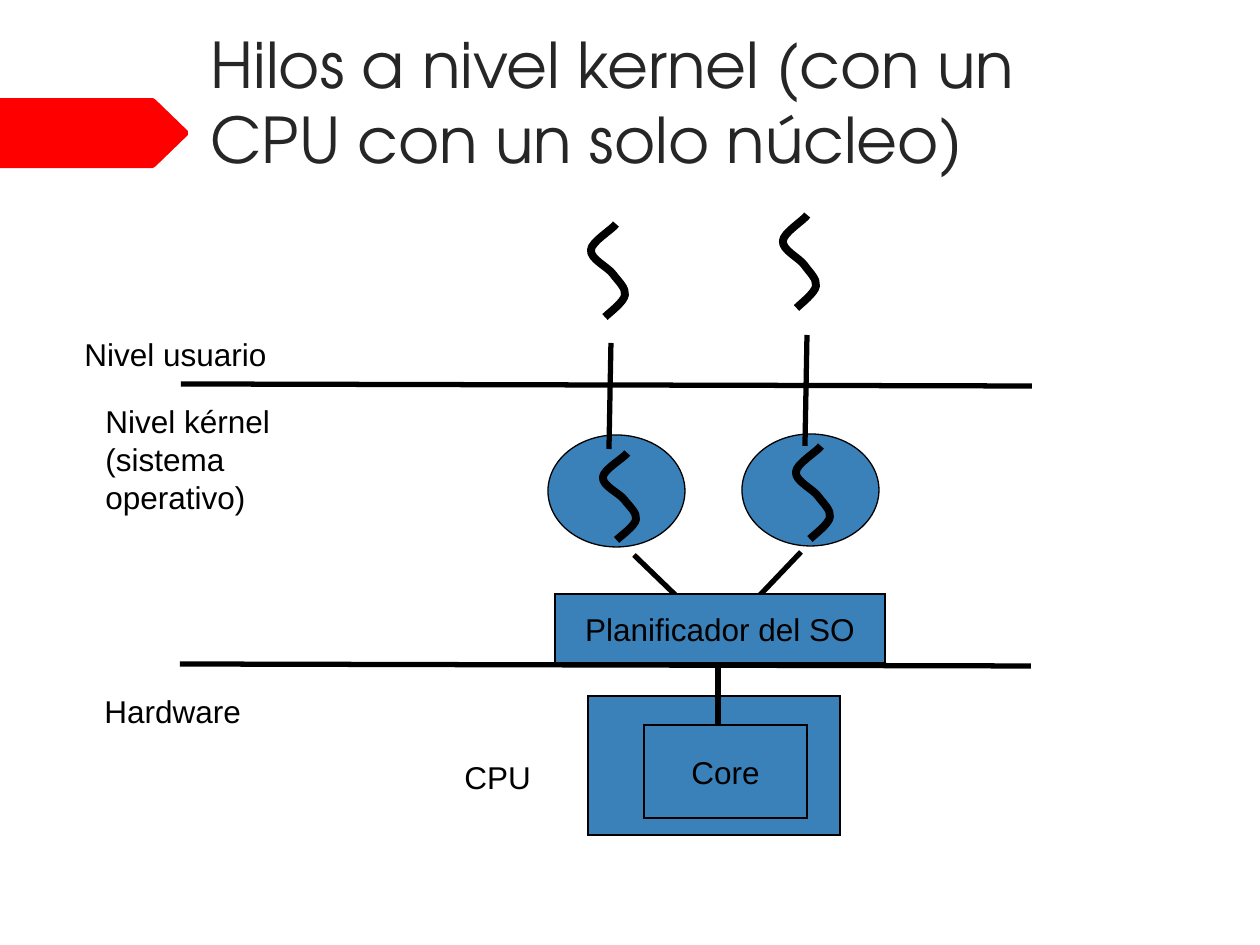
from lxml import etree
from pptx import Presentation
from pptx.dml.color import RGBColor
from pptx.enum.shapes import MSO_CONNECTOR, MSO_SHAPE
from pptx.enum.text import MSO_ANCHOR, PP_ALIGN
from pptx.oxml.ns import qn
from pptx.util import Pt

LINE = MSO_CONNECTOR.STRAIGHT
RECT = MSO_SHAPE.RECTANGLE
OVAL = MSO_SHAPE.OVAL
LEFT, CENTER = PP_ALIGN.LEFT, PP_ALIGN.CENTER
TOP, MIDDLE = MSO_ANCHOR.TOP, MSO_ANCHOR.MIDDLE
PX = 914400 / 126
BLACK, BLUE, RED, GRAY = "000000", "3A81BA", "FF0000", "262626"


def emu(*nums):
    return [round(n * PX) for n in nums]


def write(shape, text, font, size, color, align, anchor, wrap):
    frame = shape.text_frame
    frame.text = text
    frame.word_wrap = wrap
    frame.vertical_anchor = anchor
    para = frame.paragraphs[0]
    para.alignment = align
    para.font.name = font
    para.font.size = Pt(size)
    para.font.color.rgb = RGBColor.from_string(color)


deck = Presentation()
deck.slide_width, deck.slide_height = emu(1260, 945)
slide = deck.slides.add_slide(deck.slide_layouts[5])
shapes = slide.shapes

title = shapes.title
title.left, title.top, title.width, title.height = emu(198, 19, 908, 176)
write(title, "Hilos a nivel kernel (con un CPU con un solo núcleo)",
      "TeX Gyre Adventor", 36, GRAY, LEFT, TOP, True)

edge = [(153, 98), (156, 100), (188, 131), (188, 135), (156, 166), (153, 168), (0, 168)]
pen = shapes.build_freeform(*emu(0, 98), scale=1)
pen.add_line_segments([emu(*spot) for spot in edge], close=True)
arrow = pen.convert_to_shape()
arrow.shadow.inherit = False
arrow.fill.solid()
arrow.fill.fore_color.rgb = RGBColor.from_string(RED)
arrow.line.fill.background()

boxes = [
    (OVAL, 742, 434, 137, 112, ""),
    (OVAL, 548, 435, 137, 112, ""),
    (RECT, 588, 696, 252, 139, ""),
    (RECT, 644, 725, 163, 93, "Core"),
    (RECT, 555, 594, 330, 69, "Planificador del SO"),
]
for kind, x, y, w, h, text in boxes:
    box = shapes.add_shape(kind, *emu(x, y, w, h))
    box.shadow.inherit = False
    box.fill.solid()
    box.fill.fore_color.rgb = RGBColor.from_string(BLUE)
    box.line.color.rgb = RGBColor.from_string(BLACK)
    box.line.width = Pt(0.75)
    etree.SubElement(box._element.spPr.find(qn("a:ln")), qn("a:miter"), lim="800000")
    if text:
        write(box, text, "Arial", 18, BLACK, CENTER, MIDDLE, False)
planner = box

lines = [
    (181, 384, 1032, 386),
    (180, 664, 1031, 666),
    (805, 446, 807, 335),
    (609, 449, 611, 343),
    (721, 639, 634, 555),
    (719, 638, 801, 552),
    (718, 663, 718, 725),
]
for ends in lines:
    line = shapes.add_connector(LINE, *emu(*ends))
    line.line.color.rgb = RGBColor.from_string(BLACK)
    line.line.width = Pt(3)
    etree.SubElement(line._element.spPr, qn("a:effectLst"))

wave = [
    (23, 5), (1, 18), (1, 26),
    (0, 35), (18, 43), (23, 50),
    (29, 58), (36, 64), (35, 71),
    (34, 78), (19, 89), (15, 93),
]
for x, y, w, h in [(590, 224, 36, 93), (782, 215, 35, 93),
                   (602, 453, 35, 87), (795, 446, 36, 93)]:
    sx, sy = w / 36, h / 93
    pen = shapes.build_freeform(*emu(x + 26 * sx, y), scale=1)
    pen.add_line_segments([emu(x + a * sx, y + b * sy) for a, b in wave], close=False)
    thread = pen.convert_to_shape()
    thread.shadow.inherit = False
    thread.fill.background()
    thread.line.color.rgb = RGBColor.from_string(BLACK)
    thread.line.width = Pt(4.5)
    steps = list(thread._element.iter(qn("a:lnTo")))
    for i in range(0, len(steps), 3):
        curve, *rest = steps[i:i + 3]
        curve.tag = qn("a:cubicBezTo")
        for step in rest:
            curve.append(step[0])
            step.getparent().remove(step)

labels = [
    (93, 396, 249, 126, "Nivel kérnel (sistema operativo)", True),
    (72, 329, 249, 50, "Nivel usuario", True),
    (452, 752, 92, 50, "CPU", False),
    (92, 686, 161, 50, "Hardware", False),
]
for x, y, w, h, text, wrap in labels:
    label = shapes.add_textbox(*emu(x, y, w, h))
    write(label, text, "Arial", 18, BLACK, LEFT, TOP, wrap)
    if not wrap:
        label.text_frame.margin_right = 0

shapes._spTree.append(planner._element)
deck.save("out.pptx")
